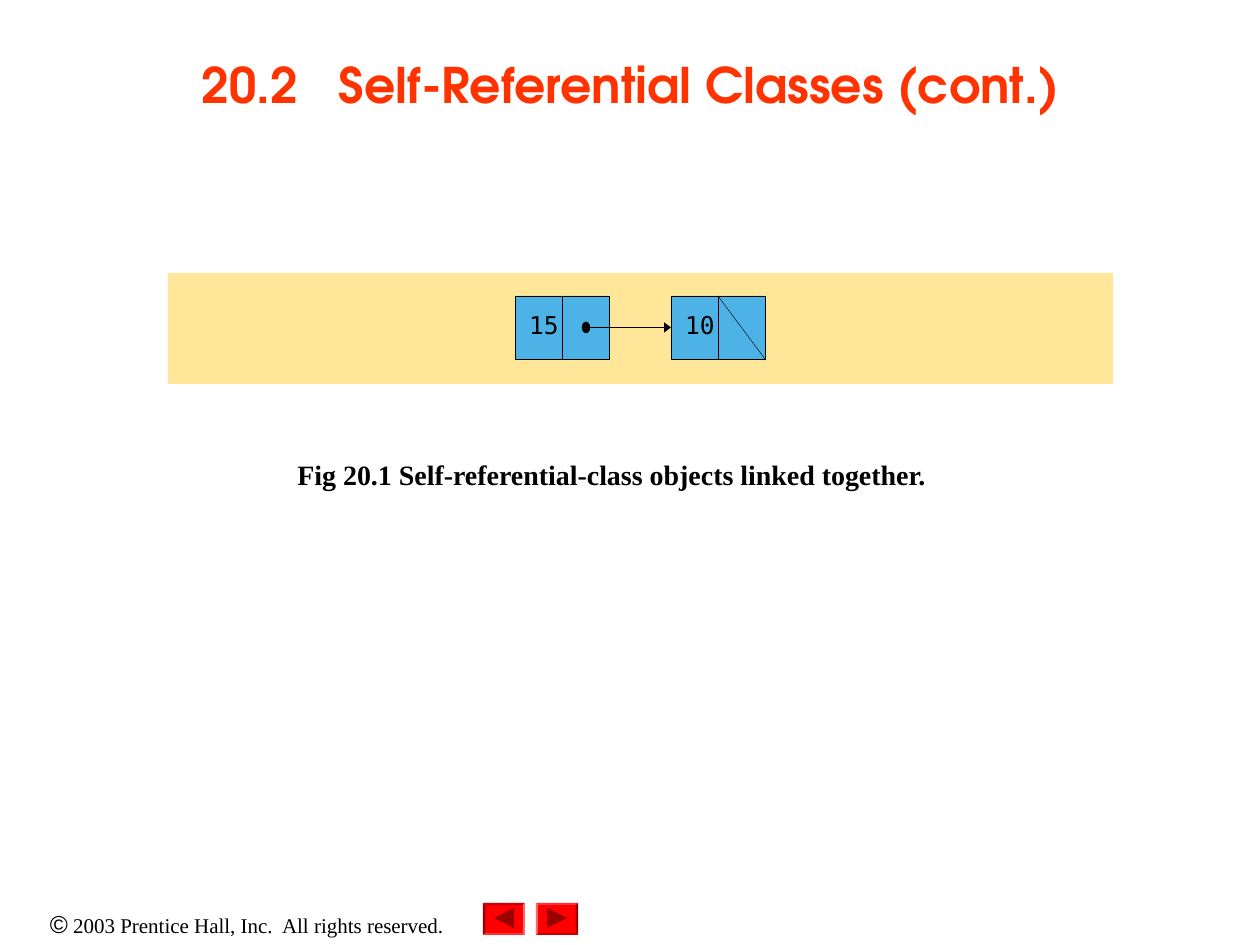
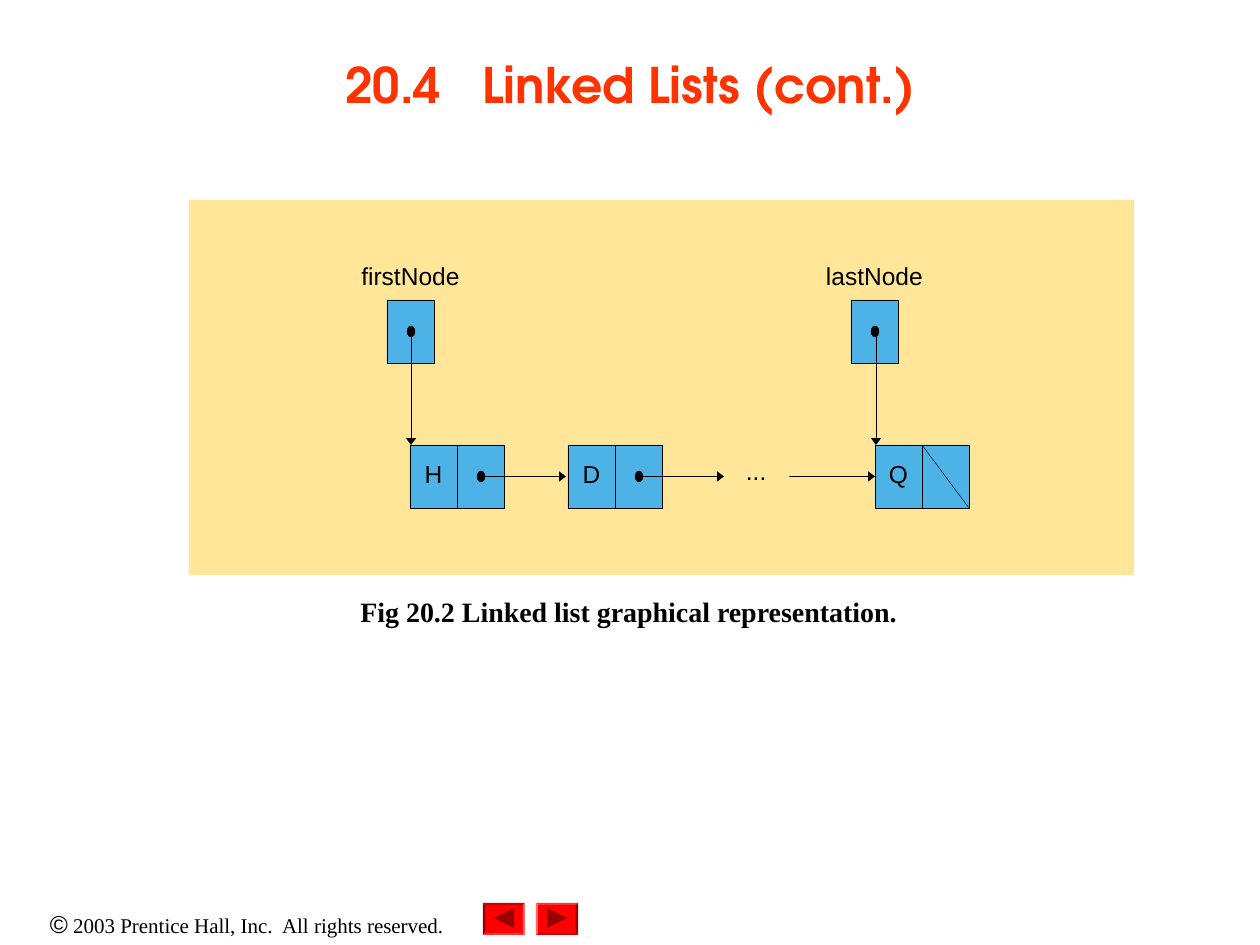
from lxml import etree
from pptx import Presentation
from pptx.dml.color import RGBColor
from pptx.enum.shapes import MSO_CONNECTOR, MSO_SHAPE
from pptx.enum.text import MSO_ANCHOR, PP_ALIGN
from pptx.oxml.ns import qn
from pptx.util import Emu, Pt

PX = 914400 / 126
BLACK = RGBColor(0x00, 0x00, 0x00)
ORANGE = RGBColor(0xFF, 0x33, 0x00)
RED = RGBColor(0xFF, 0x00, 0x00)
DARK_RED = RGBColor(0x99, 0x00, 0x00)
SAND = RGBColor(0xFF, 0xE6, 0x99)
BLUE = RGBColor(0x4D, 0xB3, 0xE6)

RECT, OVAL, BEVEL = MSO_SHAPE.RECTANGLE, MSO_SHAPE.OVAL, MSO_SHAPE.BEVEL
STRAIGHT = MSO_CONNECTOR.STRAIGHT
LEFT, CENTER = PP_ALIGN.LEFT, PP_ALIGN.CENTER
MIDDLE = MSO_ANCHOR.MIDDLE

TITLE = {"name": "TeX Gyre Adventor", "size": Pt(28), "bold": True}
CAPTION = {"name": "Times New Roman", "size": Pt(16), "bold": True}
SYMBOL = {"name": "Arial", "size": Pt(14)}
FOOTER = {"name": "Times New Roman", "size": Pt(12)}
LABEL = {"name": "Arial", "size": Pt(14)}
NUMBER = {"name": "DejaVu Sans Mono", "size": Pt(14)}

CELL_W, CELL_H = 47, 63
DOT_W, DOT_H = 8, 11
LINK = 86
LABEL_H = 26


def px(*values):
    return [Emu(round(v * PX)) for v in values]


class Deck:
    def __init__(self):
        self.prs = Presentation()
        self.prs.slide_width, self.prs.slide_height = px(1260, 945)
        self.s = None

    def slide(self, title):
        self.s = self.prs.slides.add_slide(self.prs.slide_layouts[5])
        self.footer()
        sp = self.s.shapes.title
        sp.left, sp.top, sp.width, sp.height = px(95, 10, 1071, 147)
        sp.text_frame.vertical_anchor = MIDDLE
        self.fill_text(sp.text_frame, [(title, TITLE)], CENTER, ORANGE)

    def fill_text(self, tf, runs, align, color=BLACK):
        p = tf.paragraphs[0]
        p.alignment = align
        for text, style in runs:
            r = p.add_run()
            r.text = text
            for key, value in style.items():
                setattr(r.font, key, value)
            r.font.color.rgb = color

    def text(self, x, y, w, h, runs, align=CENTER, wrap=True):
        tf = self.s.shapes.add_textbox(*px(x, y, w, h)).text_frame
        tf.word_wrap = wrap
        self.fill_text(tf, runs, align)
        return tf

    def label(self, x, y, w, text, style=LABEL, align=CENTER):
        tf = self.text(x, y, w, LABEL_H, [(text, style)], align)
        for side in ("left", "top", "right", "bottom"):
            setattr(tf, f"margin_{side}", 0)
        tf.paragraphs[0].line_spacing = 0.8

    def paint(self, sp, fill, line=None):
        sp.shadow.inherit = False
        sp.fill.solid()
        sp.fill.fore_color.rgb = fill
        if line is None:
            sp.line.fill.background()
        else:
            sp.line.color.rgb = line
            sp.line.width = Pt(0.25)
        return sp

    def shape(self, kind, x, y, w, h, fill, line=None):
        return self.paint(self.s.shapes.add_shape(kind, *px(x, y, w, h)), fill, line)

    def line(self, x1, y1, x2, y2, arrow=True):
        cn = self.s.shapes.add_connector(STRAIGHT, *px(x1, y1, x2, y2))
        cn.line.color.rgb = BLACK
        cn.line.width = Pt(0.25)
        props = cn._element.spPr
        if arrow:
            etree.SubElement(props.find(qn("a:ln")), qn("a:tailEnd"),
                             type="triangle", w="med", len="sm")
        etree.SubElement(props, qn("a:effectLst"))

    def button(self, x, rotation):
        y, w, h = 903, 42, 32
        sp = self.shape(BEVEL, x, y, w, h, RED)
        sp.adjustments[0] = 0.0625
        sp.rotation = rotation
        fb = self.s.shapes.build_freeform(x + 11, y + 5, scale=PX)
        fb.add_line_segments([(x + 31, y + 15), (x + 11, y + 25)])
        self.paint(fb.convert_to_shape(), DARK_RED).rotation = rotation

    def footer(self):
        self.text(0, 903, 494, 43, [
            ("©", SYMBOL),
            (" 2003 Prentice Hall, Inc.  All rights reserved.", FOOTER)])
        self.button(536, 0)
        self.button(483, 180)

    def caption(self, x, y, w, text):
        self.text(x, y, w, 47, [(text, CAPTION)], LEFT, wrap=False)

    def cell(self, x, y):
        self.shape(RECT, x, y, CELL_W, CELL_H, BLUE, BLACK)

    def dot(self, x, y):
        self.shape(OVAL, x + 20, y + 26, DOT_W, DOT_H, BLACK, BLACK)

    def node(self, x, y, value, style=LABEL, label_w=27, last=False):
        link_x, mid_y = x + CELL_W, y + CELL_H / 2
        self.cell(x, y)
        self.cell(link_x, y)
        self.label(x + 10, y + 20, label_w, value, style)
        if last:
            self.line(link_x, y, link_x + CELL_W, y + CELL_H, arrow=False)
        else:
            self.dot(link_x, y)
            self.line(link_x + 23, mid_y, link_x + 23 + LINK, mid_y)

    def pointer(self, x, y, name, target_x, target_y):
        self.label(x - 44, y - 33, 135, name)
        self.cell(x, y)
        self.dot(x, y)
        self.line(target_x, y + CELL_H / 2, target_x, target_y)


def self_referential_slide(deck):
    deck.slide("20.2   Self-Referential Classes (cont.)")
    deck.caption(285, 451, 656, "Fig 20.1 Self-referential-class objects linked together.")
    deck.shape(RECT, 168, 273, 945, 111, SAND)
    for x, value, last in ((515, "15", False), (671, "10", True)):
        deck.node(x, 296, value, NUMBER, 38, last)


def linked_list_slide(deck):
    first_x, second_x, last_x, list_y = 410, 568, 875, 445
    deck.slide("20.4   Linked Lists (cont.)")
    deck.caption(348, 588, 562, "Fig 20.2 Linked list graphical representation.")
    deck.shape(RECT, 189, 200, 945, 375, SAND)
    deck.node(first_x, list_y, "H")
    deck.node(second_x, list_y, "D")
    deck.label(746, 462, 53, "...", align=LEFT)
    mid_y = list_y + CELL_H / 2
    deck.line(last_x - LINK, mid_y, last_x, mid_y)
    deck.node(last_x, list_y, "Q", last=True)
    deck.pointer(387, 300, "firstNode", first_x + 1, list_y)
    deck.pointer(851, 300, "lastNode", last_x + 1, list_y)


def main():
    deck = Deck()
    self_referential_slide(deck)
    linked_list_slide(deck)
    deck.prs.save("out.pptx")


if __name__ == "__main__":
    main()
